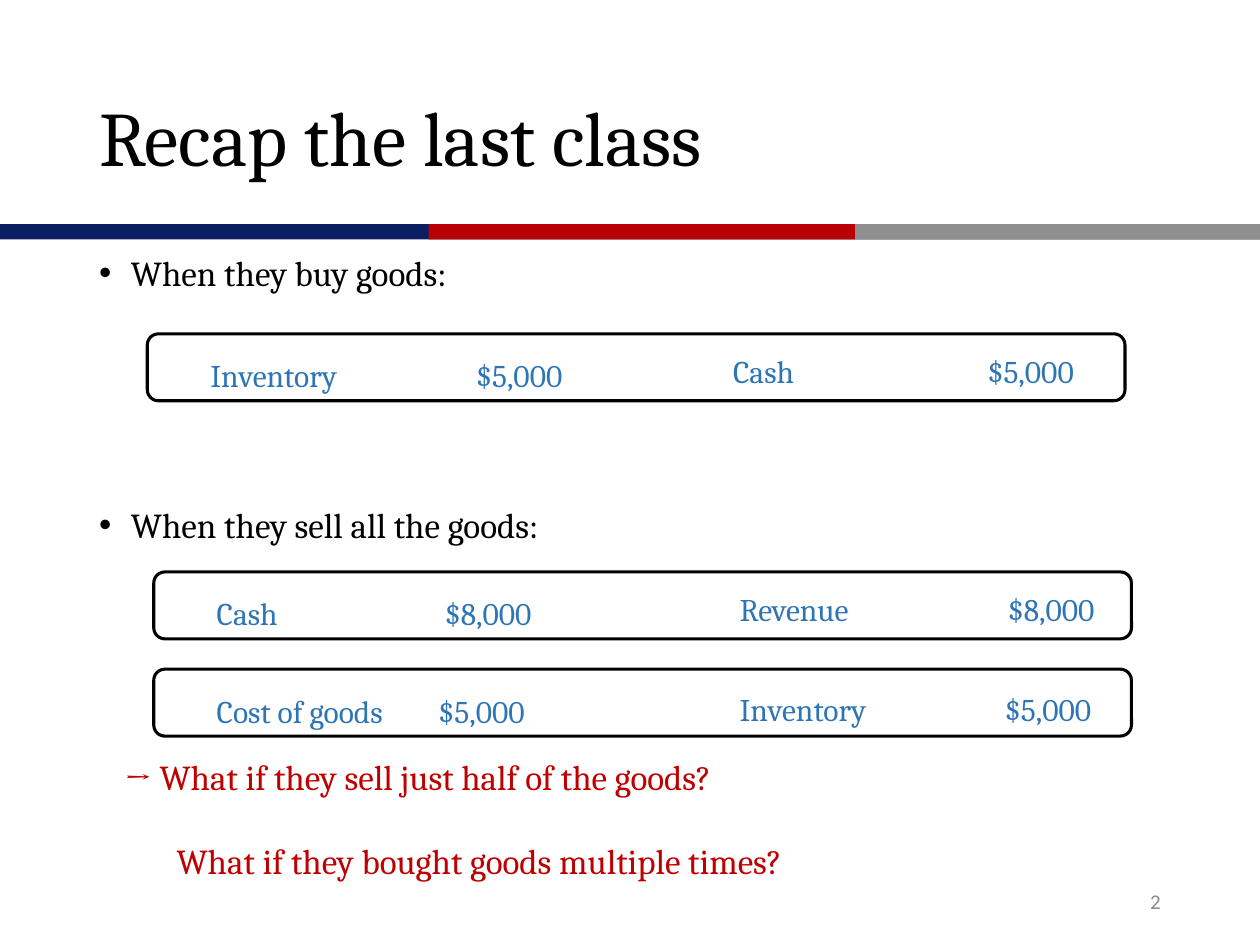
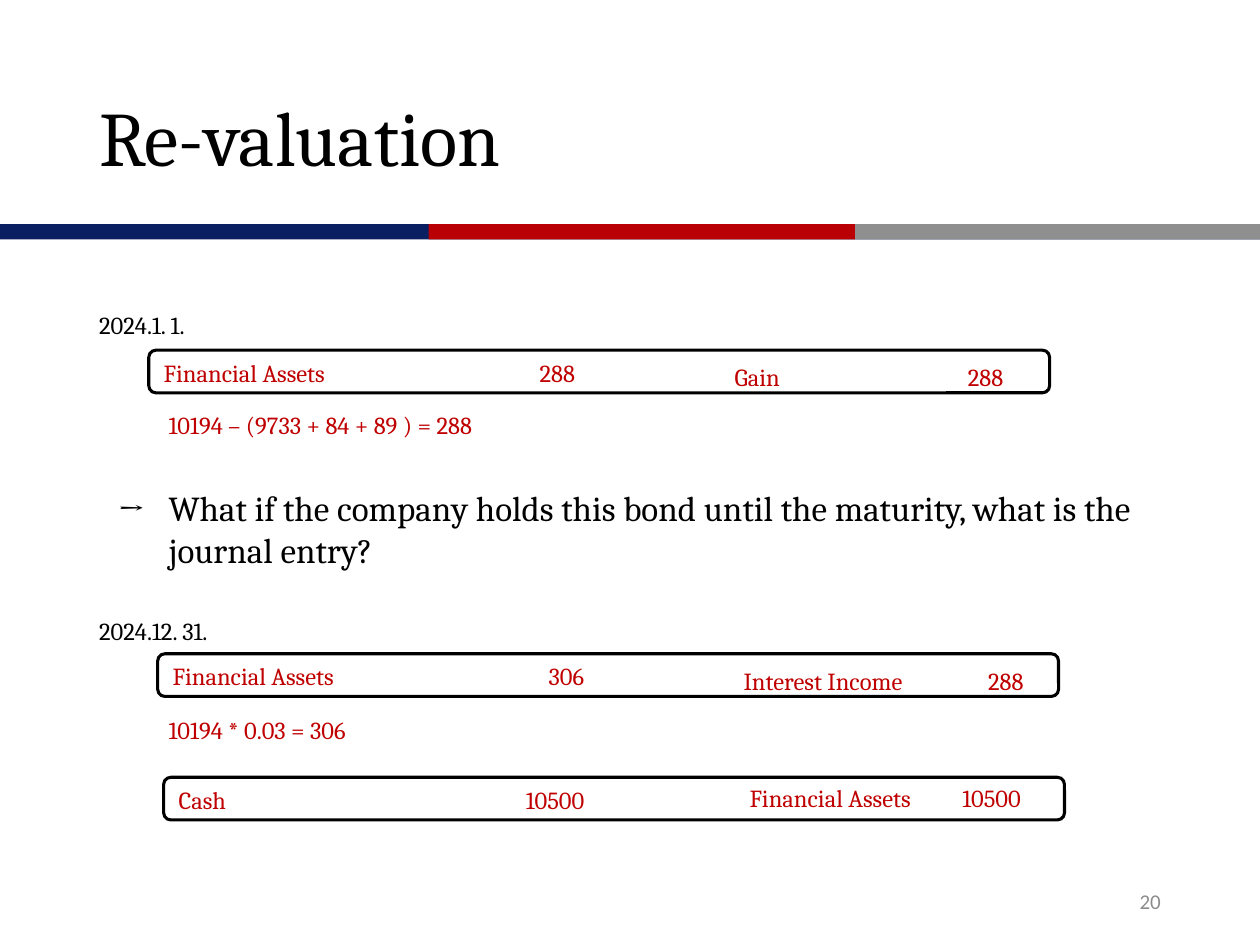
from dataclasses import dataclass, field
from typing import Optional

import pptx
import pptx.dml.color
import pptx.enum.shapes
import pptx.enum.text
import pptx.util
from lxml import etree
from pptx.oxml.ns import qn

Cm = pptx.util.Cm
Pt = pptx.util.Pt
Shapes = pptx.enum.shapes.MSO_SHAPE
Anchor = pptx.enum.text.MSO_ANCHOR
Align = pptx.enum.text.PP_ALIGN


@dataclass(frozen=True)
class Theme:
    serif: str = "Cambria"
    sans: str = "Calibri"
    black: str = "000000"
    navy: str = "0A1F62"
    band_red: str = "B90005"
    band_gray: str = "8F8F8F"
    number_gray: str = "8C8C8C"
    blue: str = "2E75B6"
    red: str = "C00000"
    title_size: int = 44
    body_size: int = 20
    entry_size: int = 18
    small_size: int = 14
    number_size: int = 12
    fixed_line: int = 20
    frame_line: float = 1.75


THEME = Theme()


@dataclass(frozen=True)
class Area:
    """A rectangle in centimetres."""
    left: float
    top: float
    width: float
    height: float

    def lengths(self) -> tuple:
        return Cm(self.left), Cm(self.top), Cm(self.width), Cm(self.height)

    def moved(self, left: float, top: float) -> "Area":
        return Area(self.left + left, self.top + top, self.width, self.height)


@dataclass(frozen=True)
class Line:
    """One paragraph; indents and the tab stop are in centimetres, spacing in points."""
    text: str
    size: int = THEME.body_size
    color: str = THEME.black
    font: str = THEME.serif
    before: float = 0
    spacing: Optional[float] = None
    margin: float = 0
    indent: float = 0
    bullet: str = ""
    tab: float = 0
    align: Align = Align.LEFT


@dataclass(frozen=True)
class Side:
    """Debit or credit half of a journal entry."""
    label: str
    amount: str
    tab: float
    fixed: bool = False


@dataclass(frozen=True)
class Entry:
    left: float
    top: float
    debit: Side
    credit: Side


@dataclass(frozen=True)
class EntryStyle:
    """Frame size, with the debit and credit areas relative to the frame's corner."""
    width: float
    height: float
    debit: Area
    credit: Area
    size: int
    color: str


@dataclass(frozen=True)
class Lesson:
    title: str
    number: str
    body_area: Area
    body: list = field(default_factory=list)
    style: Optional[EntryStyle] = None
    entries: list = field(default_factory=list)


TITLE_AREA = Area(1.75, 1.02, 22.81, 3.68)
NUMBER_AREA = Area(17.93, 17.65, 5.72, 1.02)
BANDS = [
    (Area(0, 4.52, 25.4, 0.31), THEME.navy),
    (Area(8.64, 4.52, 8.6, 0.31), THEME.band_red),
    (Area(17.24, 4.52, 8.16, 0.31), THEME.band_gray),
]

RECAP_STYLE = EntryStyle(19.71, 1.35, Area(1.02, 0.33, 8.13, 1.02),
                         Area(11.56, 0.3, 8.13, 0.97), THEME.entry_size, THEME.blue)
VALUATION_STYLE = EntryStyle(18.16, 0.86, Area(0.05, 0.03, 9.55, 0.86),
                             Area(11.56, 0, 6.6, 0.91), THEME.small_size, THEME.red)


def bullet_line(text: str, before: float = 0) -> Line:
    return Line(text, before=before, spacing=Pt(THEME.fixed_line),
                margin=0.64, indent=-0.64, bullet="•")


def question_line(text: str, before: float, margin: float) -> Line:
    return Line(text, color=THEME.red, before=before,
                spacing=Pt(THEME.fixed_line), margin=margin)


def date_line(text: str, before: float = 0) -> Line:
    return Line(text, THEME.small_size, before=before)


def sum_line(text: str) -> Line:
    return Line(text, THEME.small_size, THEME.red, before=40, margin=1.4)


LESSONS = [
    Lesson(
        "Recap the last class", "2", Area(1.75, 5.08, 22.43, 12.09),
        [
            bullet_line("When they buy goods:"),
            bullet_line("When they sell all the goods:", 124),
            question_line("→ What if they sell just half of the goods?", 124, 0.51),
            question_line("What if they bought goods multiple times?", 28, 1.56),
        ],
        RECAP_STYLE,
        [
            Entry(2.97, 6.73, Side("Inventory", "$5,000", 5.36),
                  Side("Cash", "$5,000", 5.13, fixed=True)),
            Entry(3.1, 11.53, Side("Cash", "$8,000", 4.6),
                  Side("Revenue", "$8,000", 5.41, fixed=True)),
            Entry(3.1, 13.49, Side("Cost of goods", "$5,000", 4.47),
                  Side("Inventory", "$5,000", 5.35)),
        ],
    ),
    Lesson(
        "Re-valuation", "20", Area(1.75, 6.13, 22.43, 11.04),
        [
            date_line("2024.1. 1."),
            sum_line("10194 – (9733 + 84 + 89 ) = 288"),
            Line("→\tWhat if the company holds this bond until the maturity, "
                 "what is the journal entry?", before=27, margin=1.4, indent=-1.03),
            date_line("2024.12. 31.", 26),
            sum_line("10194 * 0.03 = 306"),
        ],
        VALUATION_STYLE,
        [
            Entry(3, 7.06, Side("Financial Assets", "288", 7.58),
                  Side("Gain", "288", 4.7, fixed=True)),
            Entry(3.18, 13.18, Side("Financial Assets", "306", 7.58),
                  Side("Interest Income", "288", 4.93, fixed=True)),
            Entry(3.3, 15.67, Side("Cash", "10500", 7),
                  Side("Financial Assets", "10500", 4.29)),
        ],
    ),
]


def rgb(color: str) -> pptx.dml.color.RGBColor:
    return pptx.dml.color.RGBColor.from_string(color)


def write_line(para, line: Line) -> None:
    props = para._p.get_or_add_pPr()
    if line.margin or line.indent:
        props.set("marL", str(Cm(line.margin)))
        props.set("indent", str(Cm(line.indent)))
    if line.bullet:
        etree.SubElement(props, qn("a:buFont"), typeface="Arial")
        etree.SubElement(props, qn("a:buChar"), char=line.bullet)
    if line.tab:
        stops = etree.SubElement(props, qn("a:tabLst"))
        etree.SubElement(stops, qn("a:tab"), pos=str(Cm(line.tab)), algn="l")
    para.alignment = line.align
    if line.before:
        para.space_before = Pt(line.before)
    if line.spacing:
        para.line_spacing = line.spacing
    span = para.add_run()
    span.text = line.text
    span.font.name = line.font
    span.font.size = Pt(line.size)
    span.font.color.rgb = rgb(line.color)


def add_text(page, area: Area, lines: list, anchor: Anchor = Anchor.TOP) -> None:
    frame = page.shapes.add_textbox(*area.lengths()).text_frame
    frame.word_wrap = True
    frame.vertical_anchor = anchor
    for index, line in enumerate(lines):
        write_line(frame.add_paragraph() if index else frame.paragraphs[0], line)


def add_band(page, area: Area, color: str) -> None:
    band = page.shapes.add_shape(Shapes.RECTANGLE, *area.lengths())
    band.shadow.inherit = False
    band.fill.solid()
    band.fill.fore_color.rgb = rgb(color)
    band.line.fill.background()


def add_entry(page, entry: Entry, style: EntryStyle) -> None:
    for side, area in ((entry.debit, style.debit), (entry.credit, style.credit)):
        spacing = Pt(THEME.fixed_line) if side.fixed else None
        line = Line(f"{side.label}\t{side.amount}", style.size, style.color,
                    spacing=spacing, tab=side.tab)
        add_text(page, area.moved(entry.left, entry.top), [line])
    outline = Area(entry.left, entry.top, style.width, style.height)
    box = page.shapes.add_shape(Shapes.ROUNDED_RECTANGLE, *outline.lengths())
    box.shadow.inherit = False
    box.fill.background()
    box.line.color.rgb = rgb(THEME.black)
    box.line.width = Pt(THEME.frame_line)


def add_lesson(deck, lesson: Lesson) -> None:
    page = deck.slides.add_slide(deck.slide_layouts[6])
    for area, color in BANDS:
        add_band(page, area, color)
    add_text(page, TITLE_AREA, [Line(lesson.title, THEME.title_size, spacing=0.9)],
             Anchor.MIDDLE)
    add_text(page, lesson.body_area, lesson.body)
    add_text(page, NUMBER_AREA,
             [Line(lesson.number, THEME.number_size, THEME.number_gray, THEME.sans,
                   align=Align.RIGHT)], Anchor.MIDDLE)
    for entry in lesson.entries:
        add_entry(page, entry, lesson.style)


def main() -> None:
    deck = pptx.Presentation()
    deck.slide_width, deck.slide_height = Cm(25.4), Cm(19.05)
    for lesson in LESSONS:
        add_lesson(deck, lesson)
    deck.save("out.pptx")


if __name__ == "__main__":
    main()
